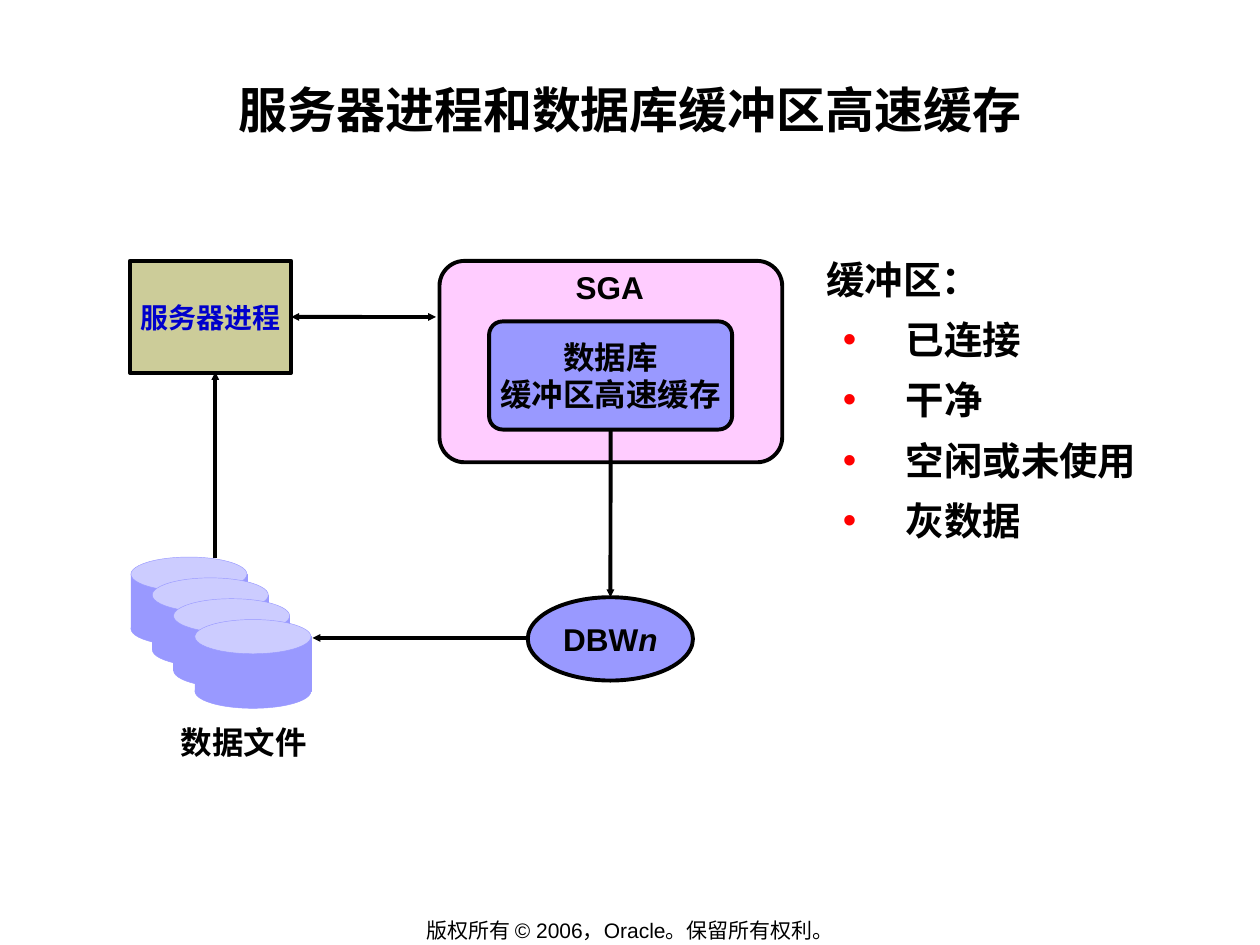
from lxml import etree
from pptx import Presentation
from pptx.dml.color import RGBColor
from pptx.enum.shapes import MSO_CONNECTOR, MSO_SHAPE
from pptx.enum.text import MSO_ANCHOR, PP_ALIGN
from pptx.oxml.ns import qn
from pptx.util import Cm, Pt

RECT, ROUND, OVAL = MSO_SHAPE.RECTANGLE, MSO_SHAPE.ROUNDED_RECTANGLE, MSO_SHAPE.OVAL
LINE = MSO_CONNECTOR.STRAIGHT
LEFT, CENTER = PP_ALIGN.LEFT, PP_ALIGN.CENTER
TOP, MIDDLE = MSO_ANCHOR.TOP, MSO_ANCHOR.MIDDLE
COLORS = {
    "black": "000000",
    "blue": "0000CC",
    "red": "FF0000",
    "violet": "9999FF",
    "pale": "CCCCFF",
    "pink": "FFCCFF",
    "khaki": "CCCC99",
}


def color(name):
    return RGBColor.from_string(COLORS[name])


def write(frame, text, size=18, ink="black", bold=True, align=CENTER,
          space=None, before=0, bullet=False, slant=""):
    para = frame.add_paragraph() if frame.text else frame.paragraphs[0]
    para.alignment = align
    para.space_before = Pt(before)
    if space:
        para.line_spacing = space
    if bullet:
        props = para._p.get_or_add_pPr()
        props.set("marL", str(Cm(1.6)))
        props.set("indent", str(Cm(-1.27)))
        tint = etree.SubElement(props, qn("a:buClr"))
        etree.SubElement(tint, qn("a:srgbClr"), val=COLORS["red"])
        etree.SubElement(props, qn("a:buFont"), typeface="Arial")
        etree.SubElement(props, qn("a:buChar"), char="•")
    for part, italic in ((text, False), (slant, True)):
        if part:
            run = para.add_run()
            run.text = part
            font = run.font
            font.name, font.size = "Arial", Pt(size)
            font.bold, font.italic = bold, italic
            font.color.rgb = color(ink)


class Board:
    """Draws styled elements on the current slide."""

    def __init__(self, slide, width=2.25):
        self.slide = slide
        self.width = width

    def frame(self, shape, inset, anchor, wrap):
        frame = shape.text_frame
        frame.word_wrap = wrap
        frame.vertical_anchor = anchor
        frame.margin_left = frame.margin_right = Cm(inset)
        frame.margin_top = frame.margin_bottom = Cm(inset / 2)
        return frame

    def text(self, *box, inset=0.02, anchor=TOP, wrap=True):
        shape = self.slide.shapes.add_textbox(*map(Cm, box))
        return self.frame(shape, inset, anchor, wrap)

    def shape(self, kind, *box, fill="violet", edge="black", width=None):
        shape = self.slide.shapes.add_shape(kind, *map(Cm, box))
        shape.shadow.inherit = False
        shape.fill.solid()
        shape.fill.fore_color.rgb = color(fill)
        shape.line.color.rgb = color(edge)
        shape.line.width = Pt(width or self.width)
        if kind == ROUND:
            shape.adjustments[0] = 0.125
        return shape

    def label(self, shape, inset=0.25):
        return self.frame(shape, inset, MIDDLE, False)

    def drum(self, left, top):
        width, high, cap = 2.34, 1.1, 0.69
        parts = ((RECT, top + cap / 2, high, "violet"),
                 (OVAL, top, cap, "pale"),
                 (OVAL, top + high, cap, "violet"))
        for kind, y, tall, fill in parts:
            self.shape(kind, left, y, width, tall, fill=fill, edge="violet", width=0.25)

    def arrow(self, *ends, heads=("tailEnd",)):
        line = self.slide.shapes.add_connector(LINE, *map(Cm, ends))
        line.line.color.rgb = color("black")
        line.line.width = Pt(self.width)
        for head in heads:
            etree.SubElement(line.line._get_or_add_ln(), qn("a:" + head),
                             type="triangle", w="sm", len="sm")
        etree.SubElement(line._element.spPr, qn("a:effectLst"))
        return line


def main():
    deck = Presentation()
    deck.slide_width, deck.slide_height = Cm(25.4), Cm(19.05)
    board = Board(deck.slides.add_slide(deck.slide_layouts[6]))

    foot = board.text(7, 18.49, 11.4, 0.53, inset=0.25, anchor=MIDDLE, wrap=False)
    write(foot, "版权所有 © 2006，Oracle。保留所有权利。", size=12, bold=False)
    title = board.text(2.54, 1.47, 20.32, 2.44)
    write(title, "服务器进程和数据库缓冲区高速缓存", size=28, space=1.1)

    body = board.text(16.64, 5.05, 7, 5.97)
    write(body, "缓冲区：", size=22, align=LEFT, space=1.1)
    for state in ("已连接", "干净", "空闲或未使用", "灰数据"):
        write(body, state, size=22, align=LEFT, space=1.1, before=5.5, bullet=True)

    writer = board.shape(OVAL, 10.64, 12.04, 3.33, 1.68)
    write(board.label(writer), "DBW", slant="n")
    board.arrow(10.64, 12.86, 6.3, 12.86)

    for step in range(4):
        board.drum(2.64 + 0.43 * step, 11.23 + 0.42 * step)
    files = board.text(3.25, 14.66, 3.33, 0.76, inset=0.25, wrap=False)
    write(files, "数据文件", space=0.7)

    server = board.shape(RECT, 2.62, 5.26, 3.25, 2.26, fill="khaki")
    write(board.label(server, inset=0.13), "服务器进程", size=16, ink="blue")

    board.shape(ROUND, 8.86, 5.26, 6.91, 4.06, fill="pink")
    area = board.text(11.1, 5.44, 2.39, 0.81, inset=0.15)
    write(area, "SGA", space=0.85)
    cache = board.shape(ROUND, 9.86, 6.48, 4.9, 2.18)
    frame = board.label(cache)
    for text in ("数据库", "缓冲区高速缓存"):
        write(frame, text)

    board.arrow(4.34, 11.25, 4.34, 7.5)
    flush = board.arrow(12.31, 8.66, 12.31, 12.04)
    flush.begin_connect(cache, 2)
    flush.end_connect(writer, 0)
    access = board.arrow(5.87, 6.39, 8.79, 6.39, heads=("headEnd", "tailEnd"))
    access.begin_connect(server, 3)

    deck.save("out.pptx")


if __name__ == "__main__":
    main()
